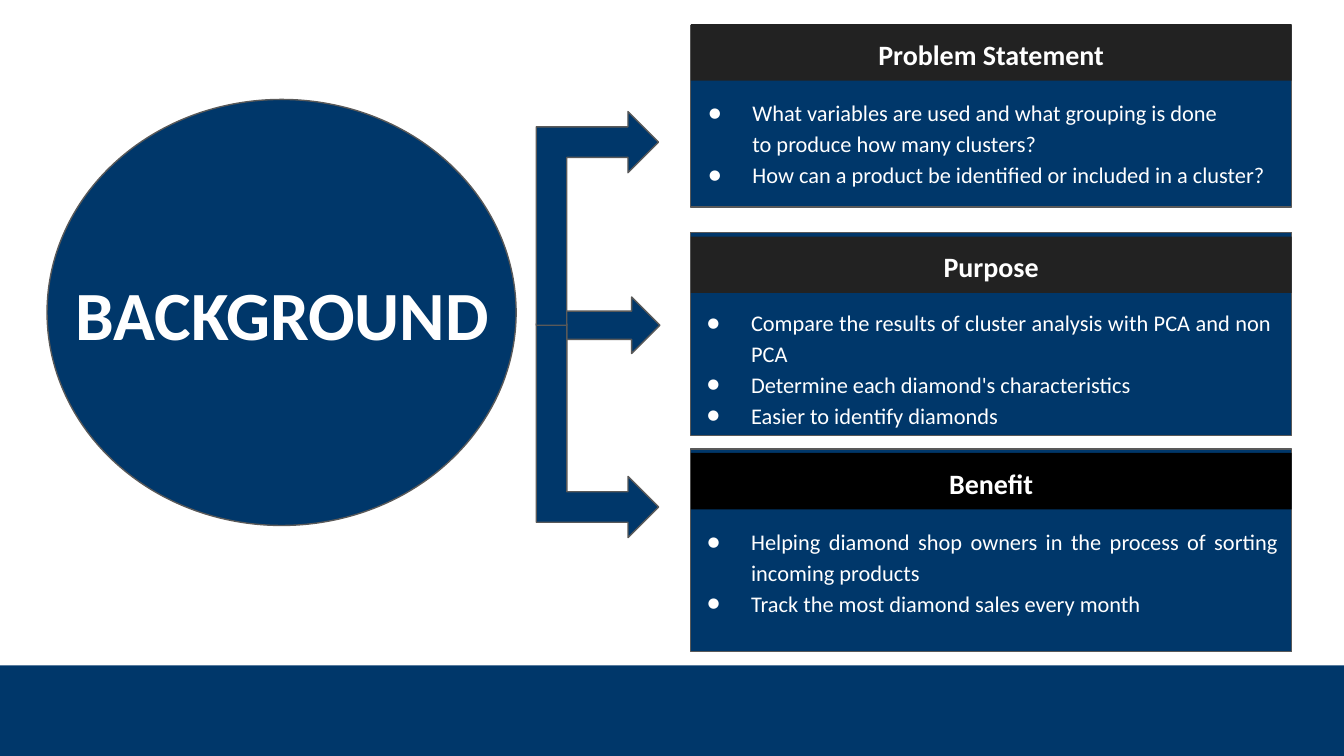
import pptx
import pptx.util
import pptx.dml.color
import pptx.enum.shapes
import pptx.enum.text
import pptx.oxml.ns
import lxml.etree

Inches = pptx.util.Inches
Pt = pptx.util.Pt
Shape = pptx.enum.shapes.MSO_SHAPE
Align = pptx.enum.text.PP_ALIGN
Anchor = pptx.enum.text.MSO_ANCHOR
COLORS = {"navy": "00376A", "outline": "595959", "charcoal": "222222",
          "black": "000000", "white": "FFFFFF"}


def add_block(kind, left, top, width, height, fill, outlined=False):
    block = page.shapes.add_shape(kind, Inches(left), Inches(top), Inches(width), Inches(height))
    block.shadow.inherit = False
    block.fill.solid()
    block.fill.fore_color.rgb = pptx.dml.color.RGBColor.from_string(COLORS[fill])
    if outlined:
        block.line.color.rgb = pptx.dml.color.RGBColor.from_string(COLORS["outline"])
        block.line.width = Pt(0.75)
    else:
        block.line.fill.background()
    return block


def write_text(box, lines, size, bold, align, anchor=Anchor.TOP, listed=False):
    frame = box.text_frame
    frame.word_wrap = True
    frame.vertical_anchor = anchor
    frame.margin_left = frame.margin_right = Inches(0.1)
    frame.margin_top = frame.margin_bottom = Inches(0.1)
    frame.text = "\n".join(line.lstrip("~") for line in lines)
    for line, para in zip(lines, frame.paragraphs):
        para.alignment = align
        if listed:
            para.line_spacing = 1.15
            bulleted = not line.startswith("~")
            properties = para._p.get_or_add_pPr()
            properties.set("marL", str(Inches(0.5)))
            properties.set("indent", str(Inches(-0.33 if bulleted else 0)))
            if bulleted:
                color = lxml.etree.SubElement(properties, pptx.oxml.ns.qn("a:buClr"))
                lxml.etree.SubElement(color, pptx.oxml.ns.qn("a:srgbClr"), val=COLORS["white"])
                lxml.etree.SubElement(properties, pptx.oxml.ns.qn("a:buSzPts"), val=str(size * 100))
                lxml.etree.SubElement(properties, pptx.oxml.ns.qn("a:buFont"), typeface="Calibri")
                lxml.etree.SubElement(properties, pptx.oxml.ns.qn("a:buChar"), char="●")
        para.font.name = "Calibri"
        para.font.size = Pt(size)
        para.font.bold = bold
        para.font.color.rgb = pptx.dml.color.RGBColor.from_string(COLORS["white"])


deck = pptx.Presentation()
deck.slide_width = Inches(10)
deck.slide_height = deck.slide_width * 9 // 16
page = deck.slides.add_slide(deck.slide_layouts[6])

add_block(Shape.OVAL, 0.35, 0.74, 3.49, 3.17, "navy", True)
title = page.shapes.add_textbox(Inches(0.44), Inches(2.12), Inches(3.32), Inches(0.42))
write_text(title, ["BACKGROUND"], 37, True, Align.CENTER, Anchor.MIDDLE)
footer = add_block(Shape.RECTANGLE, 0, 4.95, 10, 0.67, "navy")
footer.height = deck.slide_height - footer.top

add_block(Shape.RIGHT_ARROW, 4, 2.21, 0.91, 0.42, "navy", True)
for top, flipped in [(2.75, False), (1.17, True)]:
    arrow = add_block(Shape.BENT_UP_ARROW, 3.65, top, 1.59, 0.91, "navy", True)
    arrow.rotation = 90
    if flipped:
        arrow._element.spPr.xfrm.set("flipH", "1")

sections = [
    ("Purpose", "charcoal", 1.73, 1.51, 1.76, (4.99, 2.17, 4.57, 1.19),
     ["Compare the results of cluster analysis with PCA and non PCA",
      "Determine each diamond's characteristics",
      "Easier to identify diamonds"]),
    ("Benefit", "black", 3.34, 1.51, 3.37, (4.99, 3.8, 4.62, 1.51),
     ["Helping diamond shop owners in the process of sorting incoming products",
      "Track the most diamond sales every month"]),
    ("Problem Statement", "charcoal", 0.19, 1.35, 0.18, (5, 0.61, 4.76, 1.1),
     ["What variables are used and what grouping is done ",
      "~to produce how many clusters?",
      "How can a product be identified or included in a cluster?"]),
]
for heading, shade, top, height, heading_top, body_area, lines in sections:
    add_block(Shape.RECTANGLE, 5.14, top, 4.47, height, "navy", True)
    header = add_block(Shape.RECTANGLE, 5.14, heading_top, 4.47, 0.42, shade)
    write_text(header, [heading], 15, True, Align.CENTER)
    body = page.shapes.add_textbox(*map(Inches, body_area))
    write_text(body, lines, 12, False, Align.JUSTIFY, listed=True)

deck.save("out.pptx")
